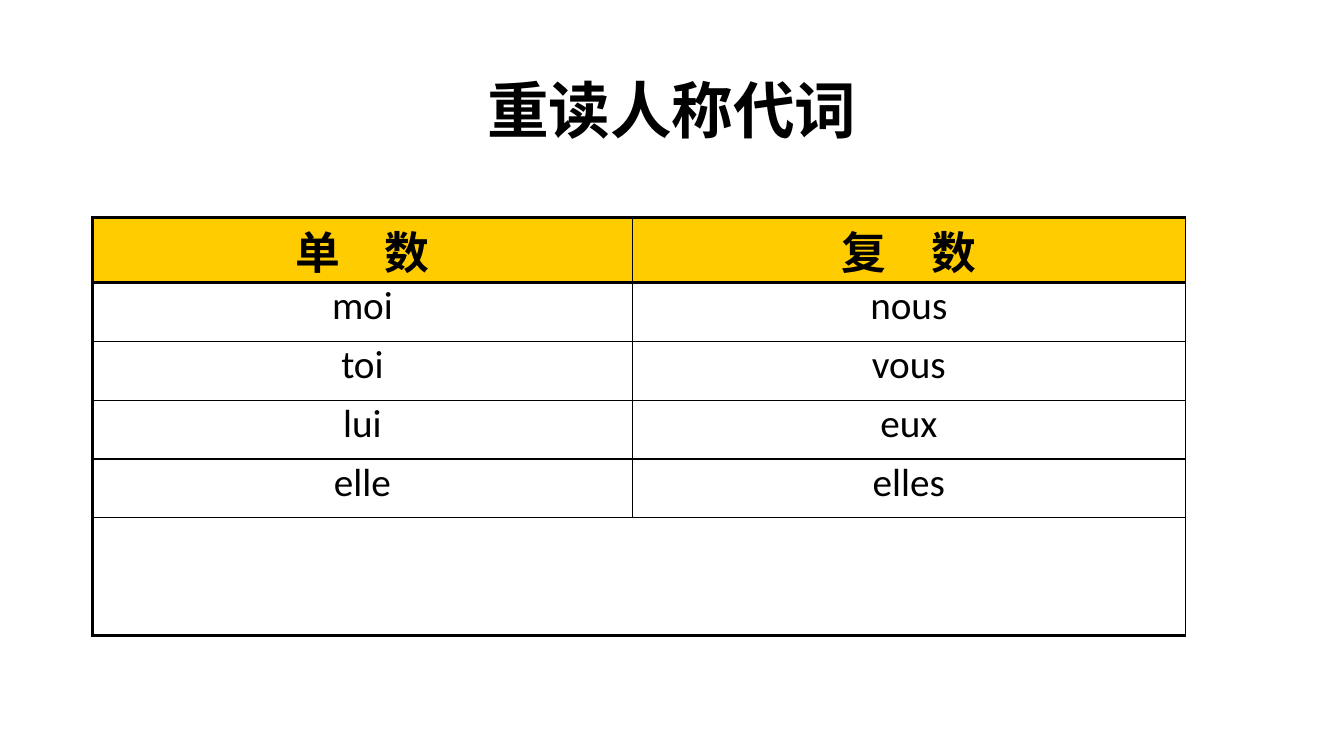
from dataclasses import dataclass

from lxml import etree
from pptx import Presentation
from pptx.dml.color import RGBColor
from pptx.enum.text import MSO_ANCHOR, PP_ALIGN
from pptx.oxml.ns import qn
from pptx.util import Inches, Pt

CENTER = PP_ALIGN.CENTER
MIDDLE = MSO_ANCHOR.MIDDLE
TITLE_ONLY = 5
GRID_COLUMNS, GRID_ROWS = 160, 90
GRID_UNIT = Inches(1 / 12)


@dataclass(frozen=True)
class Theme:
    ink: str = "000000"
    header_fill: str = "FFCC00"
    latin_font: str = "Calibri"
    chinese_font: str = "Noto Sans CJK SC"
    title_size: float = 44
    header_size: float = 32
    body_size: float = 28
    thick: float = 2.25
    thin: float = 1
    hairline: float = 0.75


def grid(*lengths):
    return [round(length * GRID_UNIT) for length in lengths]


def write_text(frame, text, *, size, font, east_asian_font, color, bold=False, line_spacing=None):
    paragraph = frame.paragraphs[0]
    paragraph.alignment = CENTER
    paragraph.line_spacing = line_spacing
    run = paragraph.add_run()
    run.text = text
    run.font.size = Pt(size)
    run.font.name = font
    run.font.bold = bold
    run.font.color.rgb = RGBColor.from_string(color)
    east_asian = etree.Element(qn("a:ea"), typeface=east_asian_font)
    run.font._element.find(qn("a:latin")).addnext(east_asian)


def set_borders(cell, color, **widths):
    properties = cell._tc.get_or_add_tcPr()
    for side in ("L", "R", "T", "B"):
        line = etree.SubElement(properties, qn(f"a:ln{side}"), w=str(int(Pt(widths[side]))))
        fill = etree.SubElement(line, qn("a:solidFill"))
        etree.SubElement(fill, qn("a:srgbClr"), val=color)


class SlideBuilder:
    def __init__(self, presentation, theme):
        self.theme = theme
        self.slide = presentation.slides.add_slide(presentation.slide_layouts[TITLE_ONLY])

    def title(self, text, left, top, width, height):
        theme = self.theme
        shape = self.slide.shapes.title
        shape.left, shape.top, shape.width, shape.height = grid(left, top, width, height)
        shape.text_frame.vertical_anchor = MIDDLE
        write_text(shape.text_frame, text, size=theme.title_size, font=theme.latin_font,
                   east_asian_font=theme.chinese_font, color=theme.ink, bold=True,
                   line_spacing=0.9)

    def table(self, header, body, left, top, column_widths, row_heights):
        frame = self.slide.shapes.add_table(
            len(row_heights), len(column_widths),
            *grid(left, top, sum(column_widths), sum(row_heights)))
        table = frame.table
        table.first_row = table.horz_banding = False
        for column, width in zip(table.columns, grid(*column_widths)):
            column.width = width
        for row, height in zip(table.rows, grid(*row_heights)):
            row.height = height
        last_row = len(row_heights) - 1
        last_column = len(column_widths) - 1
        for row_index in range(len(row_heights)):
            for column_index in range(len(column_widths)):
                self.style_cell(table.cell(row_index, column_index), row_index == 0,
                                row_index == 1, row_index == last_row,
                                column_index == 0, column_index == last_column)
        table.cell(last_row, 0).merge(table.cell(last_row, last_column))
        for row_index, texts in enumerate([header, *body]):
            for column_index, text in enumerate(texts):
                self.cell_text(table.cell(row_index, column_index), text, row_index == 0)

    def style_cell(self, cell, is_header, below_header, is_last, is_first_column, is_last_column):
        theme = self.theme
        cell.margin_left = cell.margin_right = cell.margin_top = cell.margin_bottom = 0
        outer_right = theme.thick if is_last else theme.hairline
        set_borders(cell, theme.ink,
                    L=theme.thick if is_first_column else theme.thin,
                    R=outer_right if is_last_column else theme.thin,
                    T=theme.thick if is_header or below_header else theme.thin,
                    B=theme.thick if is_header or is_last else theme.thin)
        if is_header:
            cell.fill.solid()
            cell.fill.fore_color.rgb = RGBColor.from_string(theme.header_fill)
        else:
            cell.fill.background()

    def cell_text(self, cell, text, is_header):
        theme = self.theme
        write_text(cell.text_frame, text, bold=is_header, color=theme.ink,
                   size=theme.header_size if is_header else theme.body_size,
                   font=theme.chinese_font if is_header else theme.latin_font,
                   east_asian_font=theme.chinese_font)


def main():
    presentation = Presentation()
    presentation.slide_width, presentation.slide_height = grid(GRID_COLUMNS, GRID_ROWS)
    builder = SlideBuilder(presentation, Theme())
    builder.title("重读人称代词", left=11, top=4.8, width=138, height=17.4)
    pronouns = [("moi", "nous"), ("toi", "vous"), ("lui", "eux"), ("elle", "elles")]
    builder.table(("单　数", "复　数"), pronouns, left=11, top=25.9,
                  column_widths=[64.3, 65.8], row_heights=[7] * 5 + [14])
    presentation.save("out.pptx")


if __name__ == "__main__":
    main()
